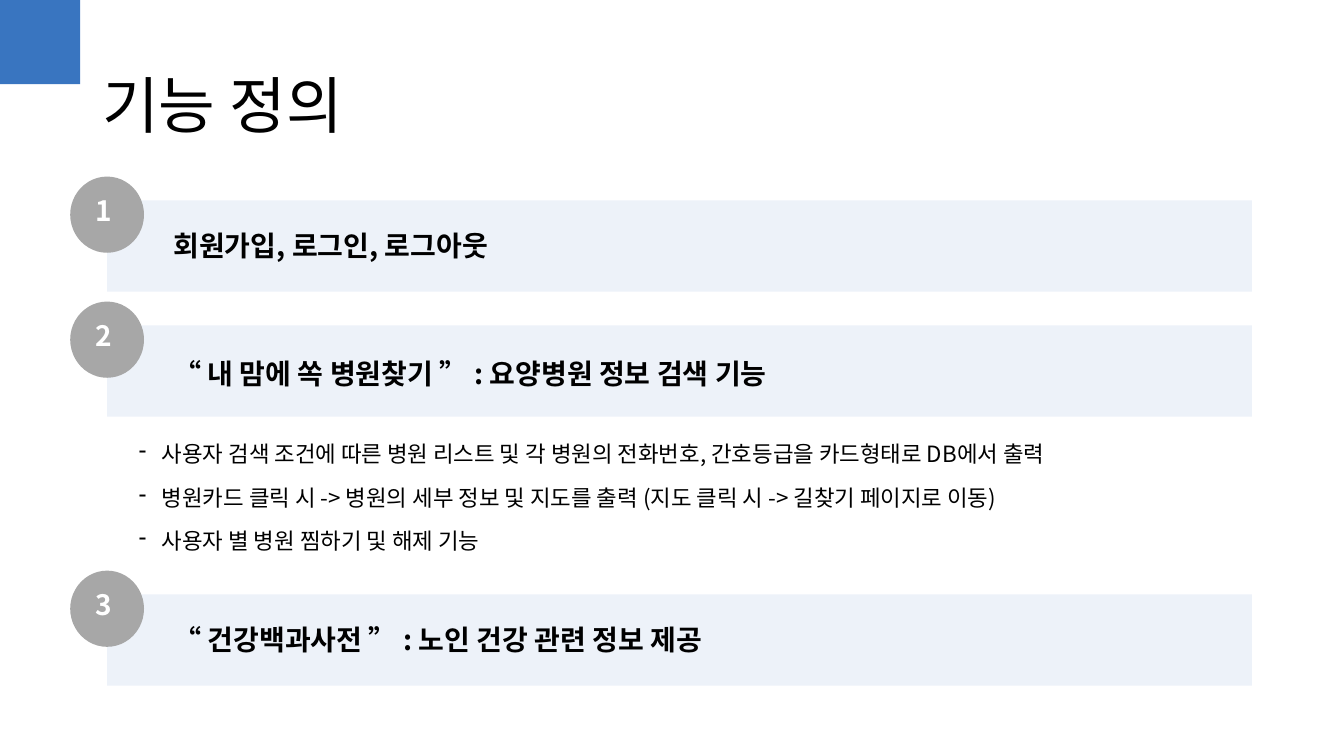
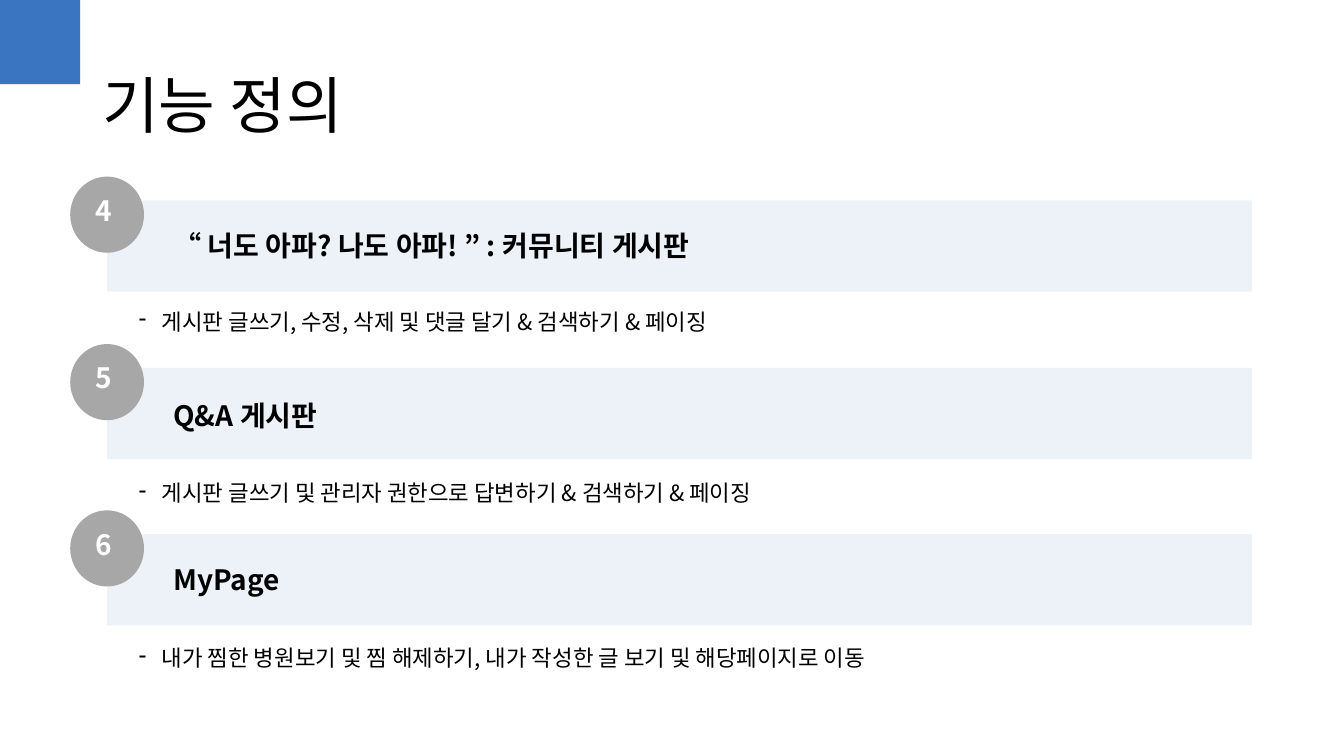
import pptx
import pptx.util
import pptx.dml.color
import pptx.enum.shapes
import pptx.enum.text
import pptx.oxml
from pptx.oxml.ns import qn

Cm = pptx.util.Cm
Pt = pptx.util.Pt
SHAPES = pptx.enum.shapes.MSO_SHAPE
ANCHORS = pptx.enum.text.MSO_ANCHOR
ALIGNMENTS = pptx.enum.text.PP_ALIGN

COLORS = {"corner": "3975C0", "band": "EDF2F9", "badge": "A7A7A7", "text": "000000", "number": "FFFFFF"}
FONT = "Noto Sans CJK KR"
TITLE = "기능 정의"

FORMATS = {
    "title": {"font": {"size": Pt(44)}, "paragraph": {"line_spacing": 0.9}, "color": "text"},
    "number": {
        "font": {"size": Pt(20), "bold": True},
        "paragraph": {"alignment": ALIGNMENTS.CENTER},
        "color": "number",
    },
    "heading": {"font": {"size": Pt(20), "bold": True}, "paragraph": {}, "color": "text"},
    "detail": {"font": {"size": Pt(16)}, "paragraph": {"line_spacing": 1.1}, "color": "text"},
}

SLIDES = [
    [
        {"top": 5.05, "heading": "회원가입, 로그인, 로그아웃", "heading_top": 5.64, "width": 11.86, "details": []},
        {
            "top": 8.2,
            "heading": "“ 내 맘에 쏙 병원찾기 ” : 요양병원 정보 검색 기능",
            "heading_top": 8.86,
            "width": 16.2,
            "details_top": 10.9,
            "details": [
                "사용자 검색 조건에 따른 병원 리스트 및 각 병원의 전화번호, 간호등급을 카드형태로 DB에서 출력",
                "병원카드 클릭 시 -> 병원의 세부 정보 및 지도를 출력 (지도 클릭 시 -> 길찾기 페이지로 이동)",
                "사용자 별 병원 찜하기 및 해제 기능",
            ],
        },
        {
            "top": 14.98,
            "heading": "“ 건강백과사전 ” : 노인 건강 관련 정보 제공",
            "heading_top": 15.57,
            "width": 16.2,
            "details": [],
        },
    ],
    [
        {
            "top": 5.05,
            "heading": "“ 너도 아파? 나도 아파! ” : 커뮤니티 게시판",
            "heading_top": 5.64,
            "width": 13.9,
            "details_top": 7.57,
            "details": ["게시판 글쓰기, 수정, 삭제 및 댓글 달기 & 검색하기 & 페이징"],
        },
        {
            "top": 9.27,
            "heading": "Q&A 게시판",
            "heading_top": 9.91,
            "width": 16.2,
            "details_top": 11.89,
            "details": ["게시판 글쓰기 및 관리자 권한으로 답변하기 & 검색하기 & 페이징"],
        },
        {
            "top": 13.46,
            "heading": "MyPage",
            "heading_top": 14.05,
            "width": 16.2,
            "details_top": 16.05,
            "details": ["내가 찜한 병원보기 및 찜 해제하기, 내가 작성한 글 보기 및 해당페이지로 이동"],
        },
    ],
]


def rgb(name):
    return pptx.dml.color.RGBColor.from_string(COLORS[name])


def add_block(slide, kind, box, color):
    shape = slide.shapes.add_shape(kind, *map(Cm, box))
    shape.shadow.inherit = False
    shape.fill.solid()
    shape.fill.fore_color.rgb = rgb(color)
    shape.line.fill.background()


def add_dash(paragraph):
    properties = paragraph._p.get_or_add_pPr()
    properties.set("marL", str(Cm(0.58)))
    properties.set("indent", str(Cm(-0.58)))
    bullet = pptx.oxml.parse_xml(
        '<a:buChar xmlns:a="http://schemas.openxmlformats.org/drawingml/2006/main" char="-"/>'
    )
    properties.append(bullet)


def add_text(slide, lines, box, style, anchor=ANCHORS.TOP, dashed=False):
    style_format = FORMATS[style]
    frame = slide.shapes.add_textbox(*map(Cm, box)).text_frame
    frame.word_wrap = True
    frame.vertical_anchor = anchor
    for index, line in enumerate(lines):
        paragraph = frame.add_paragraph() if index else frame.paragraphs[0]
        if dashed:
            add_dash(paragraph)
        for name, value in style_format["paragraph"].items():
            setattr(paragraph, name, value)
        if index:
            paragraph.space_before = Pt(10)
        run = paragraph.add_run()
        run.text = line
        run.font.name = FONT
        run.font.color.rgb = rgb(style_format["color"])
        for name, value in style_format["font"].items():
            setattr(run.font, name, value)
        east_asian = run._r.get_or_add_rPr().makeelement(qn("a:ea"), {"typeface": FONT})
        run._r.rPr.find(qn("a:latin")).addnext(east_asian)


def add_feature(slide, number, feature):
    top = feature["top"]
    add_block(slide, SHAPES.RECTANGLE, (2.7, top, 28.85, 2.3), "band")
    add_block(slide, SHAPES.OVAL, (1.77, top - 0.6, 1.86, 1.92), "badge")
    add_text(slide, [str(number)], (2.08, top - 0.3, 1.07, 1.11), "number")
    add_text(slide, [feature["heading"]], (4.12, feature["heading_top"], feature["width"], 1.11), "heading")
    if feature["details"]:
        height = 0.97 + 1.1 * (len(feature["details"]) - 1)
        add_text(slide, feature["details"], (3.25, feature["details_top"], 27.8, height), "detail", dashed=True)


def main():
    presentation = pptx.Presentation()
    presentation.slide_width = Cm(33.87)
    presentation.slide_height = Cm(19.05)
    number = 0
    for features in SLIDES:
        slide = presentation.slides.add_slide(presentation.slide_layouts[6])
        add_block(slide, SHAPES.RECTANGLE, (0, 0, 2.02, 2.12), "corner")
        add_text(slide, [TITLE], (2.33, 0.89, 29.21, 3.68), "title", ANCHORS.MIDDLE)
        for feature in features:
            number += 1
            add_feature(slide, number, feature)
    presentation.save("out.pptx")


if __name__ == "__main__":
    main()
